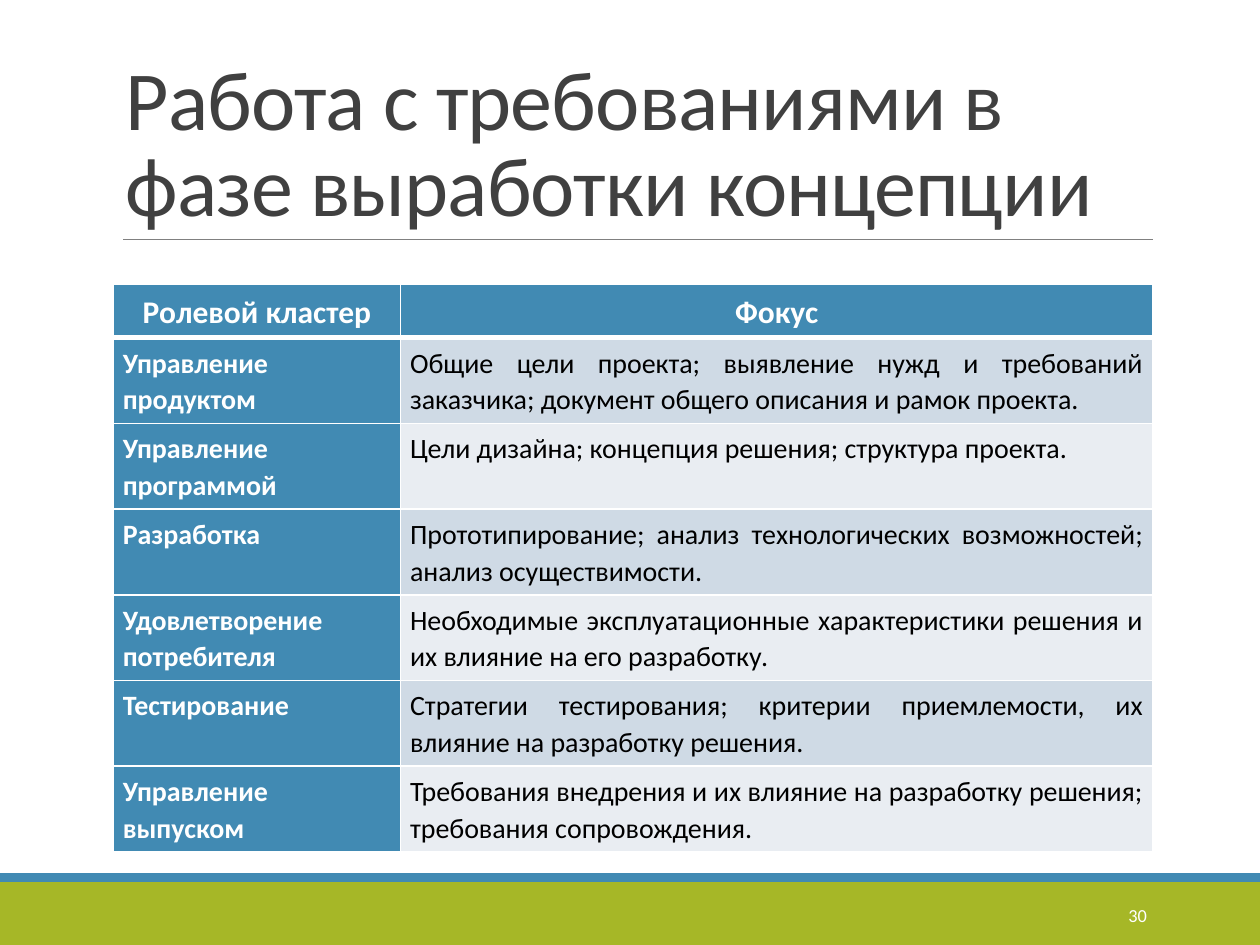
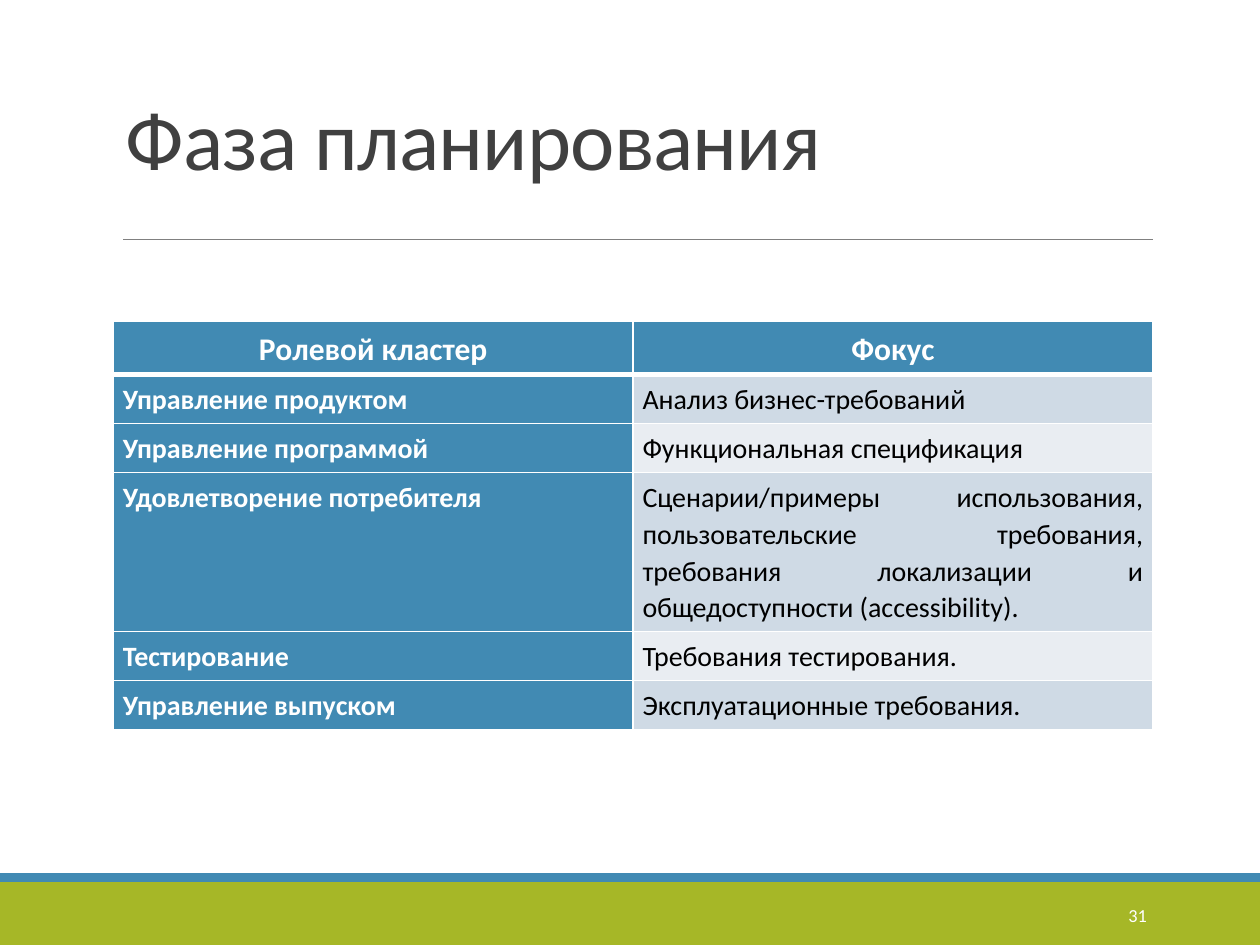
"""Build two slides on requirements work in the concept and planning phases."""
import pptx
import pptx.dml.color
import pptx.enum.shapes
import pptx.enum.text
import pptx.oxml
import pptx.oxml.ns
import pptx.util
from lxml import etree

Inches, Pt = pptx.util.Inches, pptx.util.Pt
ALIGN, ANCHOR = pptx.enum.text.PP_ALIGN, pptx.enum.text.MSO_ANCHOR
GREEN, BLUE, GREY, DARK = "A6B727", "418AB3", "808080", "404040"
WHITE, BLACK, BANDS = "FFFFFF", "000000", ("CFDAE5", "E9EDF2")
W, H = 10, 7.5
LEFT, WIDTH = 0.9, 8.25
HEADER = ("Ролевой кластер", "Фокус", 1)

SLIDES = [
    dict(number=30, title="Работа с требованиями в фазе выработки концепции",
         title_height=1.59, table_top=2.26, columns=(2.28, 5.97), rows=[
             ("Управление продуктом", "Общие цели проекта; выявление нужд и требований заказчика; "
              "документ общего описания и рамок проекта.", 2),
             ("Управление программой", "Цели дизайна; концепция решения; структура проекта.", 2),
             ("Разработка", "Прототипирование; анализ технологических возможностей; "
              "анализ осуществимости.", 2),
             ("Удовлетворение потребителя", "Необходимые эксплуатационные характеристики решения "
              "и их влияние на его разработку.", 2),
             ("Тестирование", "Стратегии тестирования; критерии приемлемости, "
              "их влияние на разработку решения.", 2),
             ("Управление выпуском", "Требования внедрения и их влияние на разработку решения; "
              "требования сопровождения.", 2)]),
    dict(number=31, title="Фаза планирования",
         title_height=1.23, table_top=2.55, columns=(WIDTH / 2, WIDTH / 2), rows=[
             ("Управление продуктом", "Анализ бизнес-требований", 1),
             ("Управление программой", "Функциональная спецификация", 1),
             ("Удовлетворение потребителя", "Сценарии/примеры использования, пользовательские "
              "требования, требования локализации и общедоступности (accessibility).", 4),
             ("Тестирование", "Требования тестирования.", 1),
             ("Управление выпуском", "Эксплуатационные требования.", 1)]),
]


def rgb(color):
    return pptx.dml.color.RGBColor.from_string(color)


def write(tf, text, size, color, align, spacing=1.0, bold=False):
    p = tf.paragraphs[0]
    p.text = text
    p.alignment, p.line_spacing = align, spacing
    p.font.name, p.font.size, p.font.bold = "Calibri", Pt(size), bold
    p.font.color.rgb = rgb(color)
    return p


prs = pptx.Presentation()
prs.slide_width, prs.slide_height = Inches(W), Inches(H)

for page in SLIDES:
    s = prs.slides.add_slide(prs.slide_layouts[6])

    for top, height, color in ((7, 0.5, GREEN), (6.93, 0.07, BLUE)):
        sp = s.shapes.add_shape(pptx.enum.shapes.MSO_SHAPE.RECTANGLE,
                                0, Inches(top), prs.slide_width, Inches(height))
        sp.shadow.inherit = False
        sp.fill.solid()
        sp.fill.fore_color.rgb = rgb(color)
        sp.line.fill.background()

    rule = s.shapes.add_connector(pptx.enum.shapes.MSO_CONNECTOR.STRAIGHT,
                                  Inches(0.98), Inches(1.9), Inches(LEFT + WIDTH), Inches(1.9))
    rule.line.color.rgb = rgb(GREY)
    rule.line.width = Pt(0.5)
    etree.SubElement(rule._element.spPr, pptx.oxml.ns.qn("a:effectLst"))

    tf = s.shapes.add_textbox(Inches(LEFT), Inches(0.31), Inches(WIDTH),
                              Inches(page["title_height"])).text_frame
    tf.word_wrap, tf.vertical_anchor = True, ANCHOR.BOTTOM
    p = write(tf, page["title"], 48, DARK, ALIGN.LEFT, 0.85)
    p.runs[0].font._element.set("spc", "-50")

    rows = [HEADER] + page["rows"]
    table = s.shapes.add_table(len(rows), 2, Inches(LEFT), Inches(page["table_top"]),
                               Inches(WIDTH), Inches(0.4) * len(rows)).table
    for column, width in zip(table.columns, page["columns"]):
        column.width = Inches(width)
    for i, (*texts, lines) in enumerate(rows):
        head = i == 0
        table.rows[i].height = Inches(0.42 if head else 0.1 + 0.29 * lines)
        for j, text in enumerate(texts):
            cell = table.cell(i, j)
            cell.margin_left = cell.margin_right = Pt(5.4)
            cell.margin_top = cell.margin_bottom = Inches(0.05)
            cell.vertical_anchor = ANCHOR.MIDDLE if head else ANCHOR.TOP
            label = head or j == 0
            write(cell.text_frame, text, 18 if head else 16, WHITE if label else BLACK,
                  ALIGN.CENTER if head else ALIGN.JUSTIFY, 1.07, label)
            for side in "LRTB":
                thick = (head and side == "B") or (i == 1 and side == "T")
                cell._tc.get_or_add_tcPr().append(pptx.oxml.parse_xml(
                    f'<a:ln{side} {pptx.oxml.ns.nsdecls("a")} w="{Pt(3 if thick else 1)}">'
                    f'<a:solidFill><a:srgbClr val="{WHITE}"/></a:solidFill></a:ln{side}>'))
            cell.fill.solid()
            cell.fill.fore_color.rgb = rgb(BLUE if label else BANDS[(i - 1) % 2])

    tf = s.shapes.add_textbox(Inches(8.12), Inches(7.06), Inches(1.08), Inches(0.4)).text_frame
    tf.word_wrap, tf.vertical_anchor = True, ANCHOR.MIDDLE
    write(tf, str(page["number"]), 10.5, WHITE, ALIGN.RIGHT)

prs.save("out.pptx")
